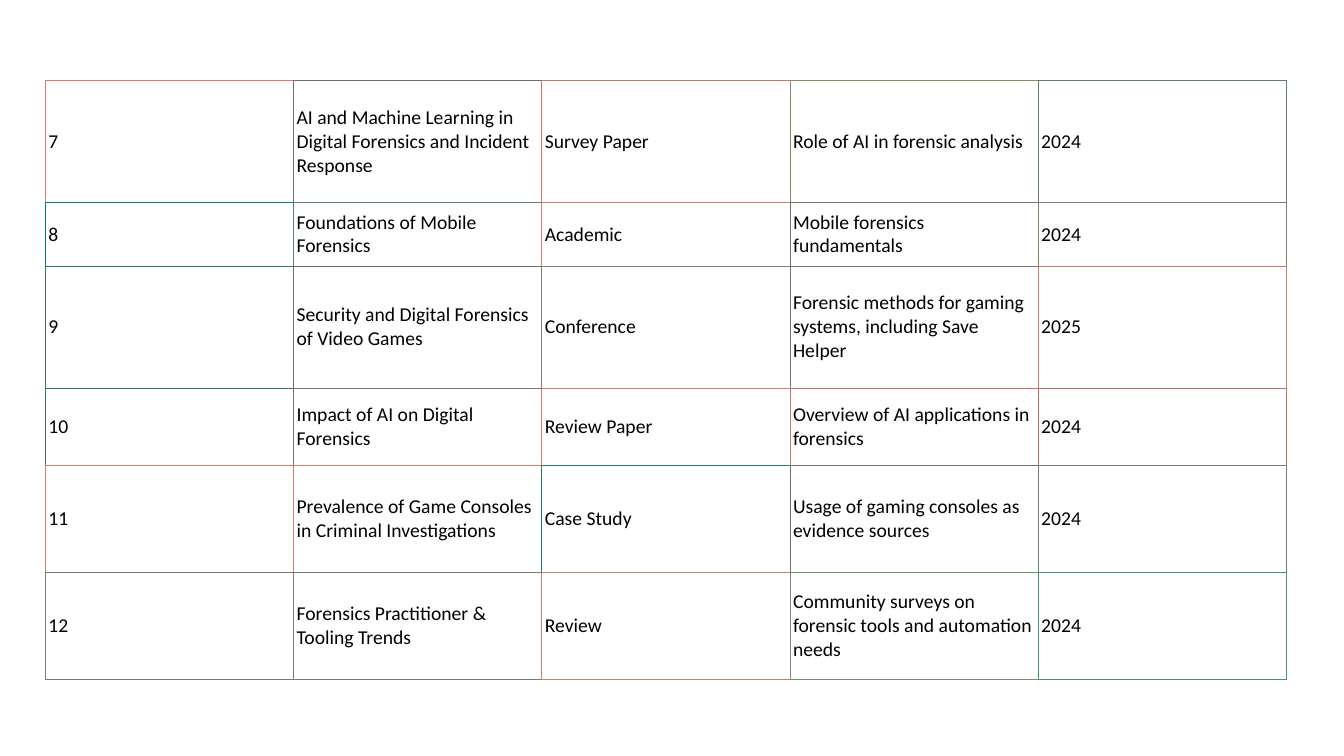
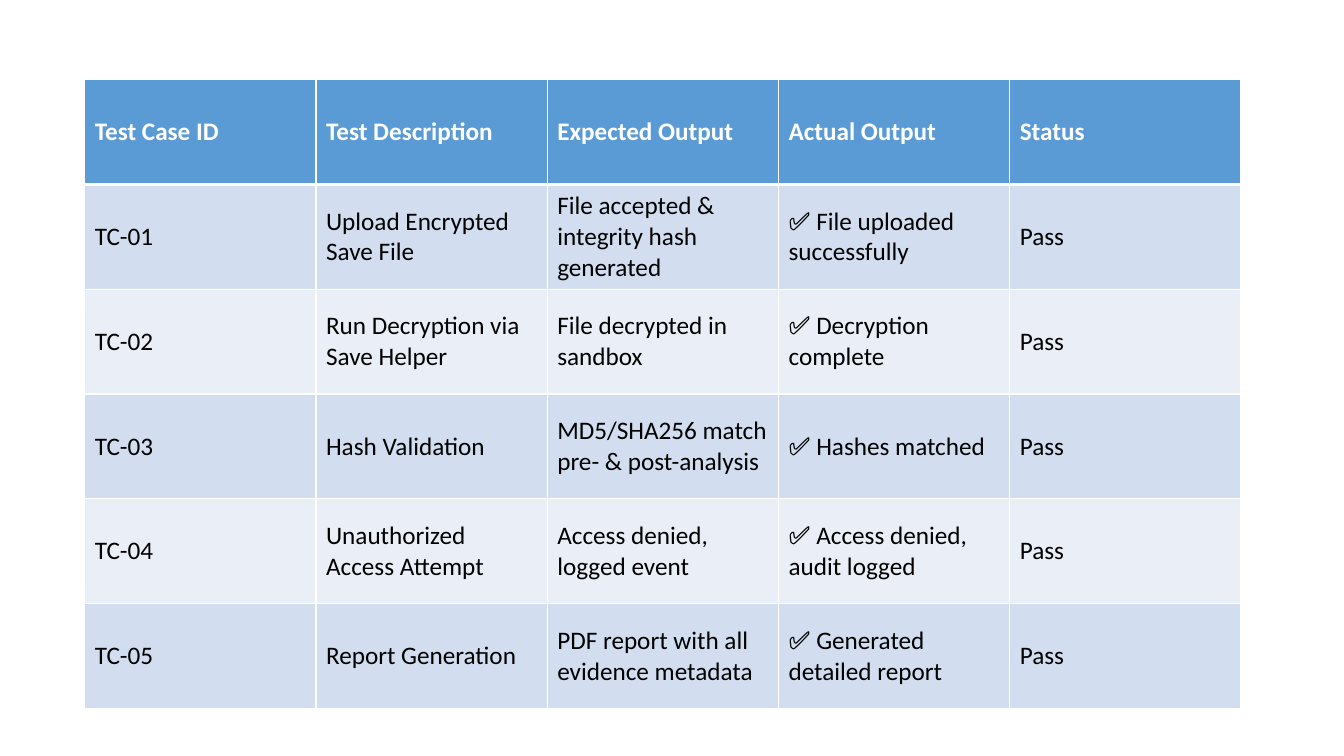
from lxml.etree import SubElement as Sub
from pptx import Presentation
from pptx.dml.color import RGBColor
from pptx.enum.text import MSO_ANCHOR as Anchor
from pptx.oxml.ns import qn
from pptx.util import Inches, Pt

FONT = "Calibri"
BLACK, WHITE, BLUE = "000000", "FFFFFF", "5B9BD5"
BANDS = "D2DEEF", "EAEFF7"

PAPERS = [
    ("7", "AI and Machine Learning in Digital Forensics and Incident Response",
     "Survey Paper", "Role of AI in forensic analysis", "2024"),
    ("8", "Foundations of Mobile Forensics",
     "Academic", "Mobile forensics fundamentals", "2024"),
    ("9", "Security and Digital Forensics of Video Games", "Conference",
     "Forensic methods for gaming systems, including Save Helper", "2025"),
    ("10", "Impact of AI on Digital Forensics",
     "Review Paper", "Overview of AI applications in forensics", "2024"),
    ("11", "Prevalence of Game Consoles in Criminal Investigations",
     "Case Study", "Usage of gaming consoles as evidence sources", "2024"),
    ("12", "Forensics Practitioner & Tooling Trends", "Review",
     "Community surveys on forensic tools and automation needs", "2024"),
]
HEIGHTS = [1.21, 0.63, 1.21, 0.77, 1.06, 1.06]
# Left and top line of each cell in PAPERS
LINES = [
    ("E07569", "707269", "D07169", "908469", "607D69"),
    ("007E69", "608269", "E07569", "707769", "808069"),
    ("307669", "607869", "808069", "707769", "D07B69"),
    ("307669", "807169", "D07B69", "D07169", "C07269"),
    ("D08069", "D08069", "208169", "707269", "708169"),
    ("708169", "708169", "C08169", "709069", "409869"),
]

TESTS = [
    ("Test Case ID", "Test Description", "Expected Output", "Actual Output",
     "Status"),
    ("TC-01", "Upload Encrypted Save File",
     "File accepted & integrity hash generated",
     "✅ File uploaded successfully", "Pass"),
    ("TC-02", "Run Decryption via Save Helper", "File decrypted in sandbox",
     "✅ Decryption complete", "Pass"),
    ("TC-03", "Hash Validation", "MD5/SHA256 match pre- & post-analysis",
     "✅ Hashes matched", "Pass"),
    ("TC-04", "Unauthorized Access Attempt", "Access denied, logged event",
     "✅ Access denied, audit logged", "Pass"),
    ("TC-05", "Report Generation", "PDF report with all evidence metadata",
     "✅ Generated detailed report", "Pass"),
]


def rgb(code):
    return RGBColor.from_string(code)


def edge(cell, side, color, width):
    """Draw one cell border; call in the order L, R, T, B, before any fill."""
    line = Sub(cell._tc.get_or_add_tcPr(), qn(f"a:ln{side}"), w=str(Pt(width)))
    Sub(Sub(line, qn("a:solidFill")), qn("a:srgbClr"), val=color)


def add_grid(deck, rows, left, top, width, heights, size):
    """Add a slide with a plain table; return the cells row by row."""
    slide = deck.slides.add_slide(deck.slide_layouts[6])
    count = len(rows[0])
    table = slide.shapes.add_table(
        len(rows), count, Inches(left), Inches(top),
        Inches(width), Inches(sum(heights))).table
    table.first_row = table.horz_banding = False
    for col in table.columns:
        col.width = Inches(width / count)
    for row, height, texts in zip(table.rows, heights, rows):
        row.height = Inches(height)
        for cell, text in zip(row.cells, texts):
            cell.text = text
            cell.vertical_anchor = Anchor.MIDDLE
            font = cell.text_frame.paragraphs[0].font
            font.name, font.size = FONT, Pt(size)
            font.color.rgb = rgb(BLACK)
    return [list(row.cells) for row in table.rows]


def add_papers(deck):
    grid = add_grid(deck, PAPERS, 0.45, 0.8, 12.31, HEIGHTS, 14)
    for r, row in enumerate(grid):
        for c, cell in enumerate(row):
            cell.margin_left = cell.margin_right = Inches(0.03)
            cell.margin_top = cell.margin_bottom = Inches(0.02)
            own = LINES[r][c]
            right = LINES[r][min(c + 1, len(row) - 1)]
            below = LINES[min(r + 1, len(grid) - 1)][c]
            for side, color in zip("LRTB", (own, right, own, below)):
                edge(cell, side, color, 0.6)
            cell.fill.background()


def add_tests(deck):
    grid = add_grid(deck, TESTS, 0.84, 0.79, 11.47, [1.04] * len(TESTS), 18)
    for r, row in enumerate(grid):
        for cell in row:
            thick = {0: "B", 1: "T"}.get(r)
            for side in "LRTB":
                edge(cell, side, WHITE, 3 if side == thick else 1)
            cell.fill.solid()
            cell.fill.fore_color.rgb = rgb(BANDS[(r - 1) % 2] if r else BLUE)
            if r == 0:
                font = cell.text_frame.paragraphs[0].font
                font.bold, font.color.rgb = True, rgb(WHITE)


def main():
    deck = Presentation()
    deck.slide_width, deck.slide_height = Inches(13.33), Inches(7.5)
    add_papers(deck)
    add_tests(deck)
    deck.save("out.pptx")


if __name__ == "__main__":
    main()
